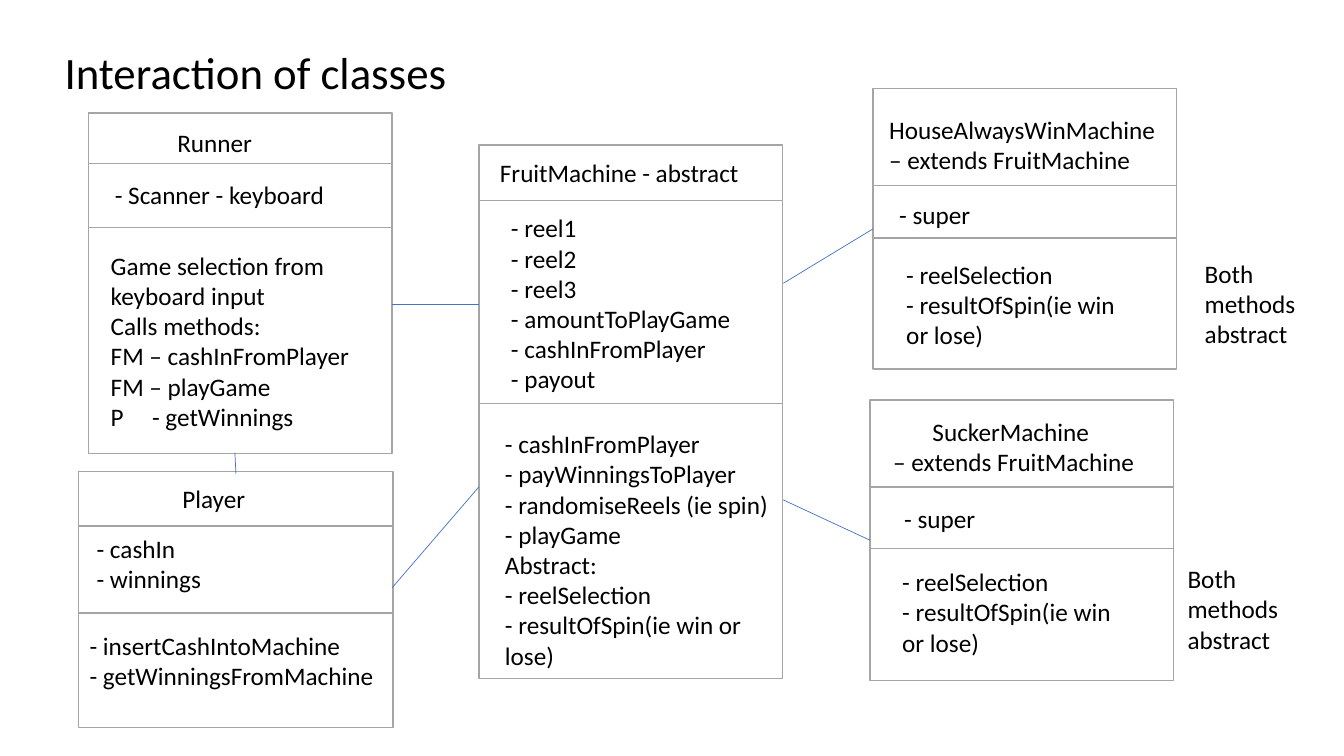
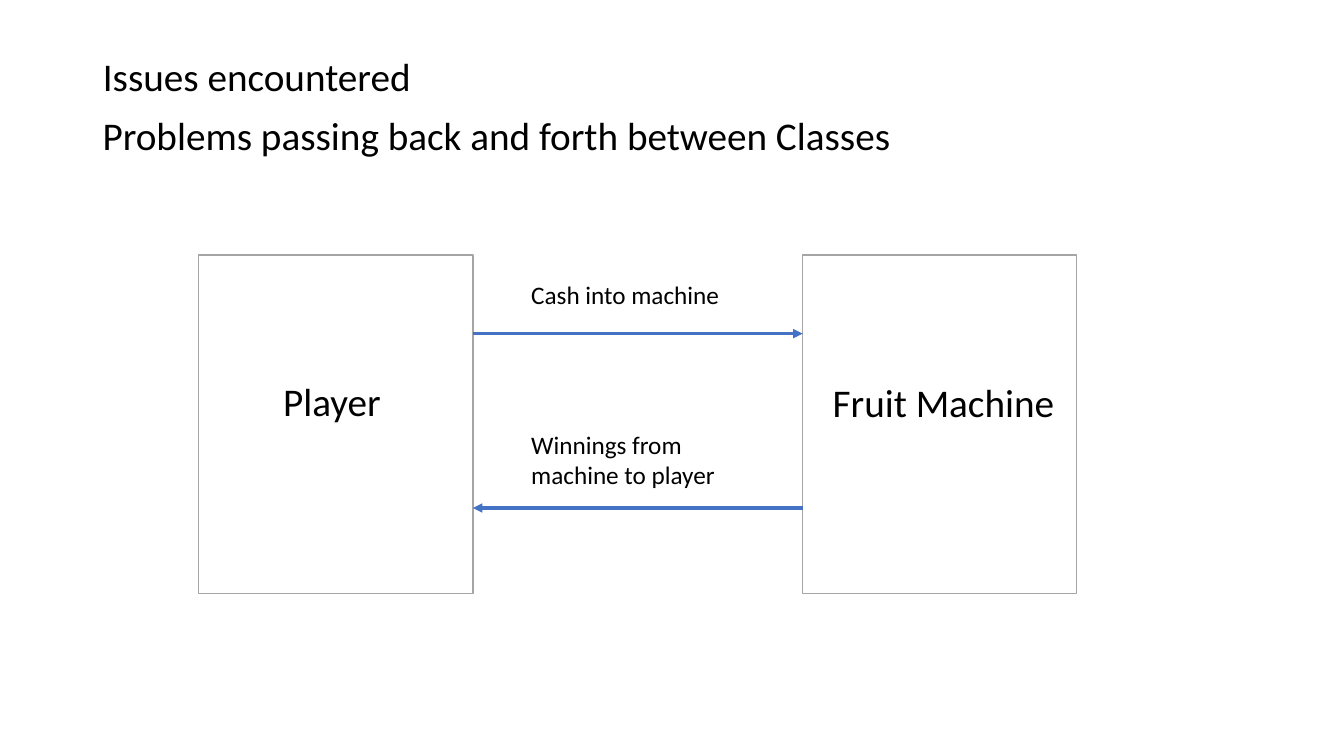
from lxml import etree
from pptx import Presentation
from pptx.dml.color import RGBColor
from pptx.enum.shapes import MSO_CONNECTOR, MSO_SHAPE
from pptx.enum.text import MSO_ANCHOR, MSO_AUTO_SIZE, PP_ALIGN
from pptx.oxml.ns import qn
from pptx.util import Inches, Pt

BLACK = RGBColor(0x00, 0x00, 0x00)
WHITE = RGBColor(0xFF, 0xFF, 0xFF)
GREY = RGBColor(0xA5, 0xA5, 0xA5)
BLUE = RGBColor(0x44, 0x72, 0xC4)
FONT = "Calibri"
STRAIGHT = MSO_CONNECTOR.STRAIGHT
RECT = MSO_SHAPE.RECTANGLE
MIDDLE = MSO_ANCHOR.MIDDLE
FIXED = MSO_AUTO_SIZE.NONE
LEFT = PP_ALIGN.LEFT
TAB = 0.41
SPIN = ["- reelSelection", "- resultOfSpin(ie win or lose)"]
NOTE = ["Both methods abstract"]


class Deck:
    def __init__(self):
        self.show = Presentation()
        self.show.slide_width = Inches(13.33)
        self.show.slide_height = Inches(7.5)
        self.slide = None
        self.shapes = None

    def start(self, title, left, top, height, size):
        self.slide = self.show.slides.add_slide(self.show.slide_layouts[5])
        self.shapes = self.slide.shapes
        head = self.shapes.title
        head.left, head.top = Inches(left), Inches(top)
        head.width, head.height = Inches(11.5), Inches(height)
        self.fill(head.text_frame, [title], size, 0.9)
        head.text_frame.vertical_anchor = MIDDLE

    def fill(self, frame, lines, size, spacing=None):
        frame.word_wrap = True
        frame.auto_size = FIXED
        for index, line in enumerate(lines):
            words, indent = line if isinstance(line, tuple) else (line, 0)
            para = frame.add_paragraph() if index else frame.paragraphs[0]
            para.text = words
            para.alignment = LEFT
            if spacing:
                para.line_spacing = spacing
            props = para._p.get_or_add_pPr()
            if indent:
                props.set("marL", str(Inches(indent)))
            if "\t" in words:
                tabs = etree.SubElement(props, qn("a:tabLst"))
                etree.SubElement(tabs, qn("a:tab"), pos=str(Inches(TAB)), algn="l")
            para.font.name = FONT
            para.font.size = Pt(size)
            para.font.color.rgb = BLACK

    def text(self, left, top, width, height, lines, size=18, spacing=None):
        box = self.shapes.add_textbox(
            Inches(left), Inches(top), Inches(width), Inches(height))
        self.fill(box.text_frame, lines, size, spacing)

    def box(self, left, top, width, height):
        shape = self.shapes.add_shape(
            RECT, Inches(left), Inches(top), Inches(width), Inches(height))
        shape.shadow.inherit = False
        shape.fill.solid()
        shape.fill.fore_color.rgb = WHITE
        shape.line.color.rgb = GREY
        shape.line.width = Pt(1)

    def line(self, x1, y1, x2, y2, color=BLUE, weight=0.5, arrow=False):
        link = self.shapes.add_connector(
            STRAIGHT, Inches(x1), Inches(y1), Inches(x2), Inches(y2))
        link.line.color.rgb = color
        link.line.width = Pt(weight)
        if arrow:
            etree.SubElement(link.line._get_or_add_ln(), qn("a:tailEnd"), type="triangle")
        etree.SubElement(link._element.spPr, qn("a:effectLst"))

    def card(self, left, top, width, height, rules, texts):
        self.shapes = self.slide.shapes.add_group_shape().shapes
        self.box(left, top, width, height)
        for y in rules:
            self.line(left, y, left + width, y, GREY, 1)
        for item in texts:
            self.text(*item)
        self.shapes = self.slide.shapes


def classes(deck):
    deck.start("Interaction of classes", 0.54, 0.35, 0.79, 32)
    deck.card(4.75, 1.44, 3.01, 5.29, [1.99, 4], [
        (4.86, 1.51, 2.89, 0.4, ["FruitMachine - abstract"]),
        (4.97, 2.06, 2.4, 1.92, [
            "- reel1", "- reel2", "- reel3",
            "- amountToPlayGame", "- cashInFromPlayer", "- payout"]),
        (4.91, 4.2, 2.85, 2.52, [
            "- cashInFromPlayer", "- payWinningsToPlayer",
            "- randomiseReels (ie spin)", "- playGame", "Abstract:", *SPIN]),
    ])
    deck.card(8.66, 0.88, 3.01, 2.78, [1.84, 2.36], [
        (8.72, 1.08, 2.89, 0.71, ["HouseAlwaysWinMachine – extends FruitMachine"]),
        (8.82, 1.93, 2.43, 0.4, ["- super"]),
        (8.89, 2.52, 2.53, 1.01, SPIN),
        (11.85, 2.51, 1.18, 1.01, NOTE),
    ])
    deck.card(8.63, 3.97, 3.01, 2.78, [4.83, 5.44], [
        (8.7, 4.08, 2.89, 0.71, [
            ("SuckerMachine", 0.45), ("– extends FruitMachine", 0.06)]),
        (8.87, 4.94, 2.43, 0.4, ["- super"]),
        (8.85, 5.57, 2.53, 1.01, SPIN),
        (11.68, 5.54, 1.18, 1.01, NOTE),
    ])
    deck.card(0.88, 1.12, 3.01, 3.38, [1.62, 2.26], [
        (1.66, 1.21, 1.35, 0.4, ["Runner"]),
        (1.04, 1.73, 2.62, 0.4, ["- Scanner - keyboard"]),
        (1, 2.43, 2.77, 1.92, [
            "Game selection from keyboard input", "Calls methods:",
            "FM – cashInFromPlayer", "FM – playGame", "P\t- getWinnings"]),
    ])
    deck.card(0.78, 4.68, 3.12, 2.54, [5.22, 6.08], [
        (1.71, 4.75, 1.35, 0.4, ["Player"]),
        (0.86, 5.24, 2.3, 0.71, ["- cashIn", "- winnings"]),
        (0.79, 6.2, 3.33, 0.71, [
            "- insertCashIntoMachine", "- getWinningsFromMachine"]),
    ])
    for ends in [
        (7.77, 2.81, 8.66, 2.27),
        (7.77, 4.96, 8.63, 5.36),
        (4.75, 3.02, 3.89, 3.02),
        (3.89, 5.83, 4.75, 4.83),
        (2.33, 4.49, 2.34, 4.7),
    ]:
        deck.line(*ends)


def issues(deck):
    deck.start("Issues encountered", 0.92, 0.4, 0.77, 28)
    deck.text(0.92, 1.14, 11.5, 0.52,
              ["Problems passing back and forth between Classes"], 28, 0.8)
    player, fruit, width = 1.97, 7.96, 2.72
    edge = player + width
    for left in (player, fruit):
        deck.box(left, 2.53, width, 3.36)
    deck.text(2.71, 3.69, 1.23, 0.57, ["Player"], 28)
    deck.text(8.16, 3.7, 2.52, 0.57, ["Fruit Machine"], 28)
    deck.line(edge, 3.31, fruit, 3.31, weight=2.25, arrow=True)
    deck.line(fruit, 5.04, edge, 5.04, weight=2.25, arrow=True)
    deck.text(5.17, 2.72, 2.31, 0.4, ["Cash into machine"])
    deck.text(5.17, 4.21, 2.31, 0.71, ["Winnings from machine to player"])


def main():
    deck = Deck()
    classes(deck)
    issues(deck)
    deck.show.save("out.pptx")


if __name__ == "__main__":
    main()
